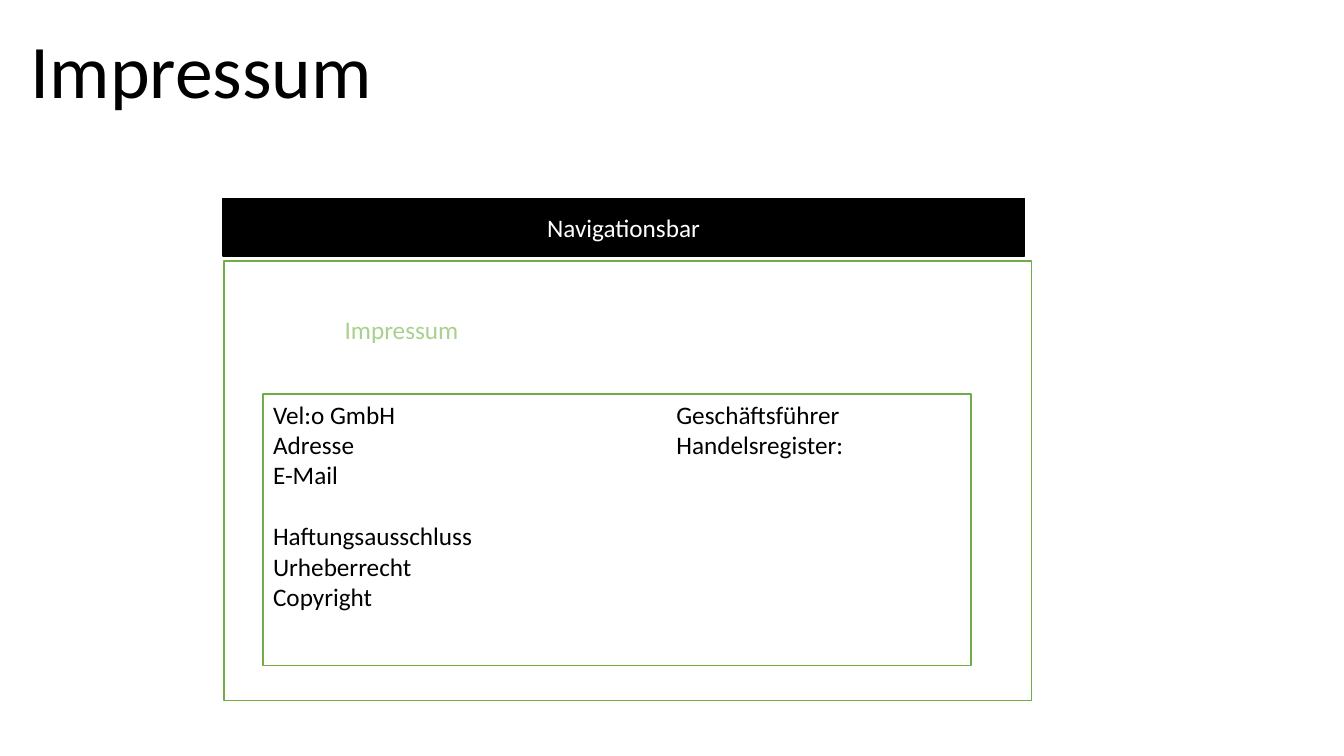
"""Build the Impressum wireframe slide."""
from lxml.etree import SubElement as Sub
from pptx import Presentation
from pptx.dml.color import RGBColor as Rgb
from pptx.enum.shapes import MSO_SHAPE as Shape
from pptx.enum.text import MSO_ANCHOR as Anchor, MSO_AUTO_SIZE as Fit, PP_ALIGN as Align
from pptx.oxml.ns import qn
from pptx.util import Inches, Pt

HUES = {"white": "FFFFFF", "black": "000000", "green": "70AD47", "pale": "A9D18E"}


def hue(name):
    return Rgb.from_string(HUES[name])


def style(para, size, color, align=Align.LEFT):
    para.alignment = align
    for run in para.runs:
        run.font.name = "Calibri"
        run.font.size = Pt(size)
        run.font.color.rgb = hue(color)


deck = Presentation()
deck.slide_width, deck.slide_height = Inches(13.33), Inches(7.5)
slide = deck.slides.add_slide(deck.slide_layouts[5])
shapes = slide.shapes

title = shapes.title
title.left, title.top = Inches(0.19), Inches(0.18)
title.width, title.height = Inches(3.62), Inches(1.01)
frame = title.text_frame
frame.text = "Impressum"
frame.word_wrap = False
frame.auto_size = Fit.NONE
frame.vertical_anchor = Anchor.TOP
frame.paragraphs[0].line_spacing = 1.0
style(frame.paragraphs[0], 54, "black", Align.CENTER)

boxes = []
for left, top, width, height, fill, line in (
    (2.22, 2.59, 8.01, 4.36, "white", "green"),
    (2.21, 1.97, 7.95, 0.57, "black", "black"),
    (2.61, 3.91, 7.02, 2.69, "white", "green"),
):
    box = shapes.add_shape(
        Shape.RECTANGLE, Inches(left), Inches(top), Inches(width), Inches(height)
    )
    box.shadow.inherit = False
    box.fill.solid()
    box.fill.fore_color.rgb = hue(fill)
    box.line.color.rgb = hue(line)
    box.line.width = Pt(1)
    boxes.append(box)
page, nav, info = boxes

frame = nav.text_frame
frame.text = "Navigationsbar"
frame.vertical_anchor = Anchor.MIDDLE
style(frame.paragraphs[0], 18, "white", Align.CENTER)

head = shapes.add_textbox(Inches(3.32), Inches(3.07), Inches(1.34), Inches(0.4))
head.text_frame.text = "Impressum"
head.text_frame.word_wrap = False
style(head.text_frame.paragraphs[0], 18, "pale")

frame = info.text_frame
frame.vertical_anchor = Anchor.TOP
frame.text = "\n".join((
    "Vel:o GmbH\tGeschäftsführer",
    "Adresse\tHandelsregister:",
    "E-Mail",
    "Haftungsausschluss",
    "Urheberrecht",
    "Copyright",
))
for para in frame.paragraphs:
    if "\t" in para.text:
        tabs = Sub(para._p.get_or_add_pPr(), qn("a:tabLst"))
        Sub(tabs, qn("a:tab"), pos=str(Inches(4)), algn="l")
    style(para, 18, "black")
frame.paragraphs[3].space_before = Pt(22)

deck.save("out.pptx")
